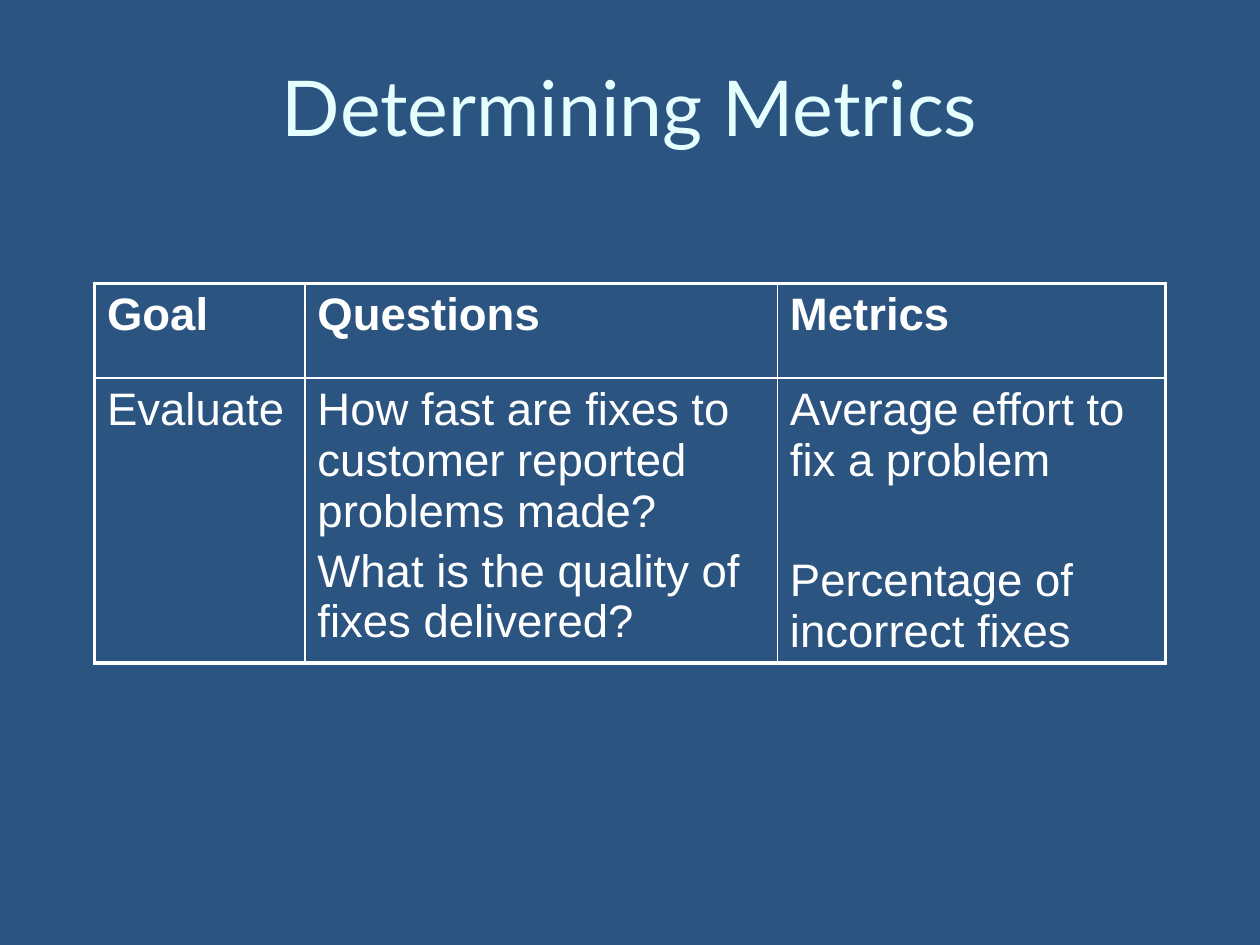
import pptx
import pptx.util
import pptx.dml.color
import pptx.enum.text
import pptx.oxml.ns
from lxml import etree

Inches, Pt = pptx.util.Inches, pptx.util.Pt
RGBColor = pptx.dml.color.RGBColor

NAVY = RGBColor(0x2B, 0x54, 0x81)
ICE = RGBColor(0xE5, 0xFF, 0xFF)
WHITE = RGBColor(0xFF, 0xFF, 0xFF)

TITLE_FONT = {"name": "Lato", "size": Pt(44), "bold": False}
CELL_FONT = {"name": "Arial", "size": Pt(26)}
OUTER, INNER = Pt(2.25), Pt(1)

COLUMNS = [1.67, 3.75, 3.08]
ROWS = [0.75, 2.25]
# Each cell is a list of (text, space before in points)
CELLS = [
    [[("Goal", 0)], [("Questions", 0)], [("Metrics", 0)]],
    [[("Evaluate", 0)],
     [("How fast are fixes to customer reported problems made?", 0),
      ("What is the quality of fixes delivered?", 5.2)],
     [("Average effort to fix a problem", 0),
      ("Percentage of incorrect fixes", 39.5)]],
]


def format_font(font, values, color):
    for name, value in values.items():
        setattr(font, name, value)
    font.color.rgb = color


def set_borders(cell, widths):
    """Draw white borders; widths maps L, R, T, B to line widths."""
    tc_pr = cell._tc.get_or_add_tcPr()
    for side, width in widths.items():
        ln = etree.SubElement(tc_pr, pptx.oxml.ns.qn(f"a:ln{side}"), w=str(int(width)))
        fill = etree.SubElement(ln, pptx.oxml.ns.qn("a:solidFill"))
        etree.SubElement(fill, pptx.oxml.ns.qn("a:srgbClr"), val=str(WHITE))


def add_title(slide, text, left, top, width, height):
    s = slide.shapes.title
    s.left, s.top, s.width, s.height = left, top, width, height
    tf = s.text_frame
    tf.text = text
    tf.vertical_anchor = pptx.enum.text.MSO_ANCHOR.TOP
    p = tf.paragraphs[0]
    p.alignment = pptx.enum.text.PP_ALIGN.CENTER
    format_font(p.runs[0].font, TITLE_FONT, ICE)


def fill_cell(cell, paragraphs, bold):
    tf = cell.text_frame
    for i, (text, space) in enumerate(paragraphs):
        p = tf.add_paragraph() if i else tf.paragraphs[0]
        p.space_before = Pt(space)
        r = p.add_run()
        r.text = text
        format_font(r.font, {**CELL_FONT, "bold": bold}, WHITE)


def add_metrics_table(slide, left, top, width, height):
    last_row, last_col = len(ROWS) - 1, len(COLUMNS) - 1
    table = slide.shapes.add_table(len(ROWS), len(COLUMNS),
                                   left, top, width, height).table
    table.first_row = table.horz_banding = False
    # Share the box out in proportion to the grid
    for column, size in zip(table.columns, COLUMNS):
        column.width = int(width * size / sum(COLUMNS))
    for row, size in zip(table.rows, ROWS):
        row.height = int(height * size / sum(ROWS))
    for i, row in enumerate(CELLS):
        for j, paragraphs in enumerate(row):
            cell = table.cell(i, j)
            set_borders(cell, {
                "L": OUTER if j == 0 else INNER,
                "R": OUTER if j == last_col else INNER,
                "T": OUTER if i == 0 else INNER,
                "B": OUTER if i == last_row else INNER,
            })
            cell.fill.background()
            fill_cell(cell, paragraphs, bold=i == 0)


def main():
    prs = pptx.Presentation()
    prs.slide_width, prs.slide_height = Inches(10), Inches(7.5)
    slide = prs.slides.add_slide(prs.slide_layouts[5])
    slide.background.fill.solid()
    slide.background.fill.fore_color.rgb = NAVY

    add_title(slide, "Determining Metrics",
              Inches(0.5), Inches(0.42), Inches(9), Inches(1.5))
    add_metrics_table(slide, Inches(0.75), Inches(2.25), Inches(8.5), Inches(3))
    prs.save("out.pptx")


if __name__ == "__main__":
    main()
